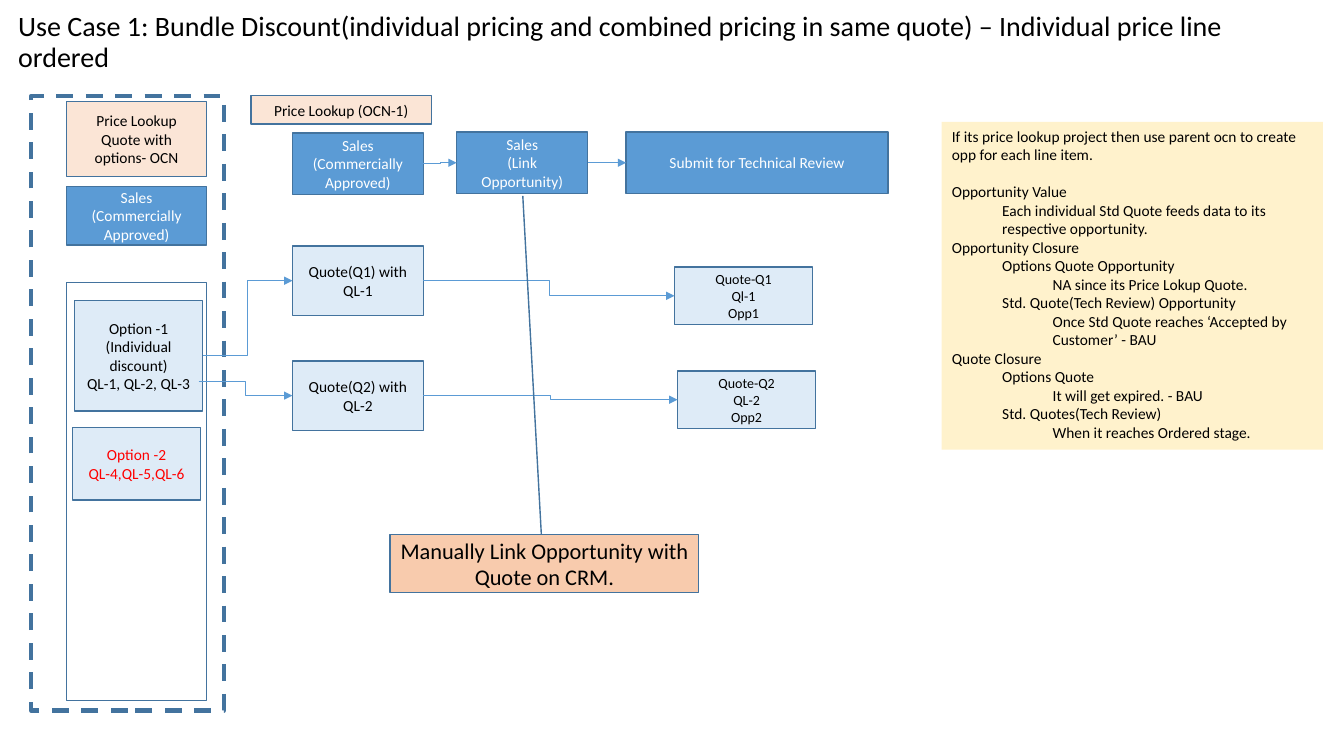
from dataclasses import dataclass

from lxml.etree import SubElement
from pptx import Presentation
from pptx.dml.color import RGBColor
from pptx.enum.dml import MSO_LINE
from pptx.enum.shapes import MSO_CONNECTOR, MSO_SHAPE
from pptx.enum.text import MSO_ANCHOR, MSO_AUTO_SIZE, PP_ALIGN
from pptx.oxml.ns import qn
from pptx.util import Pt

PX = 9144  # EMU per px, 100 px to the inch
RIGHT, LEFT = 3, 1


@dataclass(frozen=True)
class Theme:
    font: str = "Calibri"
    black: str = "000000"
    white: str = "FFFFFF"
    red: str = "FF0000"
    blue: str = "5B9BD5"
    pale_blue: str = "DEEBF7"
    peach: str = "FBE5D6"
    orange: str = "F8CBAD"
    cream: str = "FFF2CC"
    outline: str = "43739E"
    title: int = 20
    callout: int = 16
    body: int = 11
    small: int = 10


T = Theme()

NOTES = [
    (0, "If its price lookup project then use parent ocn to create opp for each line item."),
    (0, "Opportunity Value"),
    (1, "Each individual Std Quote feeds data to its respective opportunity."),
    (0, "Opportunity Closure"),
    (1, "Options Quote Opportunity"),
    (2, "NA since its Price Lokup Quote."),
    (1, "Std. Quote(Tech Review) Opportunity"),
    (2, "Once Std Quote reaches ‘Accepted by Customer’ - BAU"),
    (0, "Quote Closure"),
    (1, "Options Quote"),
    (2, "It will get expired. - BAU"),
    (1, "Std. Quotes(Tech Review)"),
    (2, "When it reaches Ordered stage."),
]


def rgb(color):
    return RGBColor.from_string(color)


def place(sp, *at):
    sp.left, sp.top, sp.width, sp.height = (v * PX for v in at)


def format_runs(p, size, color):
    for r in p.runs:
        r.font.name = T.font
        r.font.size = Pt(size)
        r.font.color.rgb = rgb(color)


def add_box(shapes, at, text="", fill=None, color=T.black, size=T.body,
            shape=MSO_SHAPE.RECTANGLE, weight=1):
    sp = shapes.add_shape(shape, *(v * PX for v in at))
    sp.shadow.inherit = False
    if fill:
        sp.fill.solid()
        sp.fill.fore_color.rgb = rgb(fill)
    else:
        sp.fill.background()
    sp.line.color.rgb = rgb(T.outline)
    sp.line.width = Pt(weight)
    if text:
        tf = sp.text_frame
        tf.text = text
        tf.word_wrap = True
        tf.vertical_anchor = MSO_ANCHOR.MIDDLE
        for p in tf.paragraphs:
            p.alignment = PP_ALIGN.CENTER
            format_runs(p, size, color)
    return sp


def add_arrow(shapes, start, end):
    """Elbow arrow to the left side of end; start is a box or an (x, y) point."""
    x, y = (0, 0) if hasattr(start, "shape_id") else start
    cxn = shapes.add_connector(MSO_CONNECTOR.ELBOW, x * PX, y * PX, end.left, end.top)
    if hasattr(start, "shape_id"):
        cxn.begin_connect(start, RIGHT)
    cxn.end_connect(end, LEFT)
    cxn.line.color.rgb = rgb(T.blue)
    cxn.line.width = Pt(0.5)
    SubElement(cxn.line._get_or_add_ln(), qn("a:tailEnd"), type="triangle")
    SubElement(cxn._element.spPr, qn("a:effectLst"))


def fill_title(sp):
    place(sp, 8, 18, 1304, 49)
    tf = sp.text_frame
    tf.text = ("Use Case 1: Bundle Discount(individual pricing and combined pricing "
               "in same quote) – Individual price line ordered")
    tf.auto_size = MSO_AUTO_SIZE.NONE
    tf.vertical_anchor = MSO_ANCHOR.MIDDLE
    p = tf.paragraphs[0]
    p.alignment = PP_ALIGN.LEFT
    p.line_spacing = 0.9
    format_runs(p, T.title, T.black)


def fill_notes(sp):
    place(sp, 934, 121, 378, 325)
    sp.fill.solid()
    sp.fill.fore_color.rgb = rgb(T.cream)
    tf = sp.text_frame
    tf.text = "\n".join(text for _, text in NOTES)
    tf.word_wrap = True
    tf.auto_size = MSO_AUTO_SIZE.NONE
    tf.vertical_anchor = MSO_ANCHOR.TOP
    for i, (p, (level, _)) in enumerate(zip(tf.paragraphs, NOTES)):
        p.level = level
        p.space_before = Pt(13 if i == 1 else 0)
        pPr = p._p.get_or_add_pPr()
        pPr.set("marL", str(level * 50 * PX))
        pPr.set("indent", "0")
        SubElement(pPr, qn("a:buNone"))
        format_runs(p, T.body, T.black)


def add_options(shapes):
    """Left column of pricing options; returns the first option's box."""
    add_box(shapes, (66, 101, 139, 74), "Price Lookup Quote with options- OCN", T.peach)
    option = add_box(shapes, (74, 298, 127, 110),
                     "Option -1 (Individual discount)\nQL-1, QL-2, QL-3", T.pale_blue)
    add_box(shapes, (72, 424, 127, 72), "Option -2\nQL-4,QL-5,QL-6", T.pale_blue, T.red)
    add_box(shapes, (66, 280, 139, 415))
    add_box(shapes, (66, 185, 139, 58), "Sales\n(Commercially Approved)", T.blue, T.white)
    frame = add_box(shapes, (31, 95, 191, 610), weight=3)
    frame.line.dash_style = MSO_LINE.DASH
    return option


def add_stages(shapes):
    add_box(shapes, (249, 95, 179, 28), "Price Lookup (OCN-1)", T.peach)
    approved, link, review = (
        add_box(shapes, at, text, T.blue, T.white) for at, text in (
            ((290, 132, 130, 61), "Sales\n(Commercially Approved)"),
            ((453, 131, 130, 61), "Sales\n(Link Opportunity)"),
            ((621, 131, 260, 61), "Submit for Technical Review")))
    add_arrow(shapes, approved, link)
    add_arrow(shapes, link, review)


def add_quotes(shapes, option):
    rows = (
        (option, 244, "Quote(Q1) with\nQL-1", (669, 265), "Quote-Q1\nQl-1\nOpp1"),
        ((197, 378), 358, "Quote(Q2) with\nQL-2", (672, 368), "Quote-Q2\nQL-2\nOpp2"),
    )
    for source, top, quote_text, corner, opp_text in rows:
        quote = add_box(shapes, (290, top, 130, 69), quote_text, T.pale_blue)
        opp = add_box(shapes, (*corner, 137, 57), opp_text, T.pale_blue, size=T.small)
        add_arrow(shapes, source, quote)
        add_arrow(shapes, quote, opp)


def add_callout(shapes):
    sp = add_box(shapes, (387, 530, 306, 58),
                 "Manually Link Opportunity with Quote on CRM.", T.orange,
                 size=T.callout, shape=MSO_SHAPE.LINE_CALLOUT_1)
    for i, value in enumerate((0, 0.49, -5.79, 0.43)):
        sp.adjustments[i] = value


def main():
    prs = Presentation()
    prs.slide_width, prs.slide_height = 1333 * PX, 750 * PX
    slide = prs.slides.add_slide(prs.slide_layouts[1])
    shapes = slide.shapes
    fill_title(shapes.title)
    fill_notes(slide.placeholders[1])
    option = add_options(shapes)
    add_stages(shapes)
    add_quotes(shapes, option)
    add_callout(shapes)
    prs.save("out.pptx")


if __name__ == "__main__":
    main()
